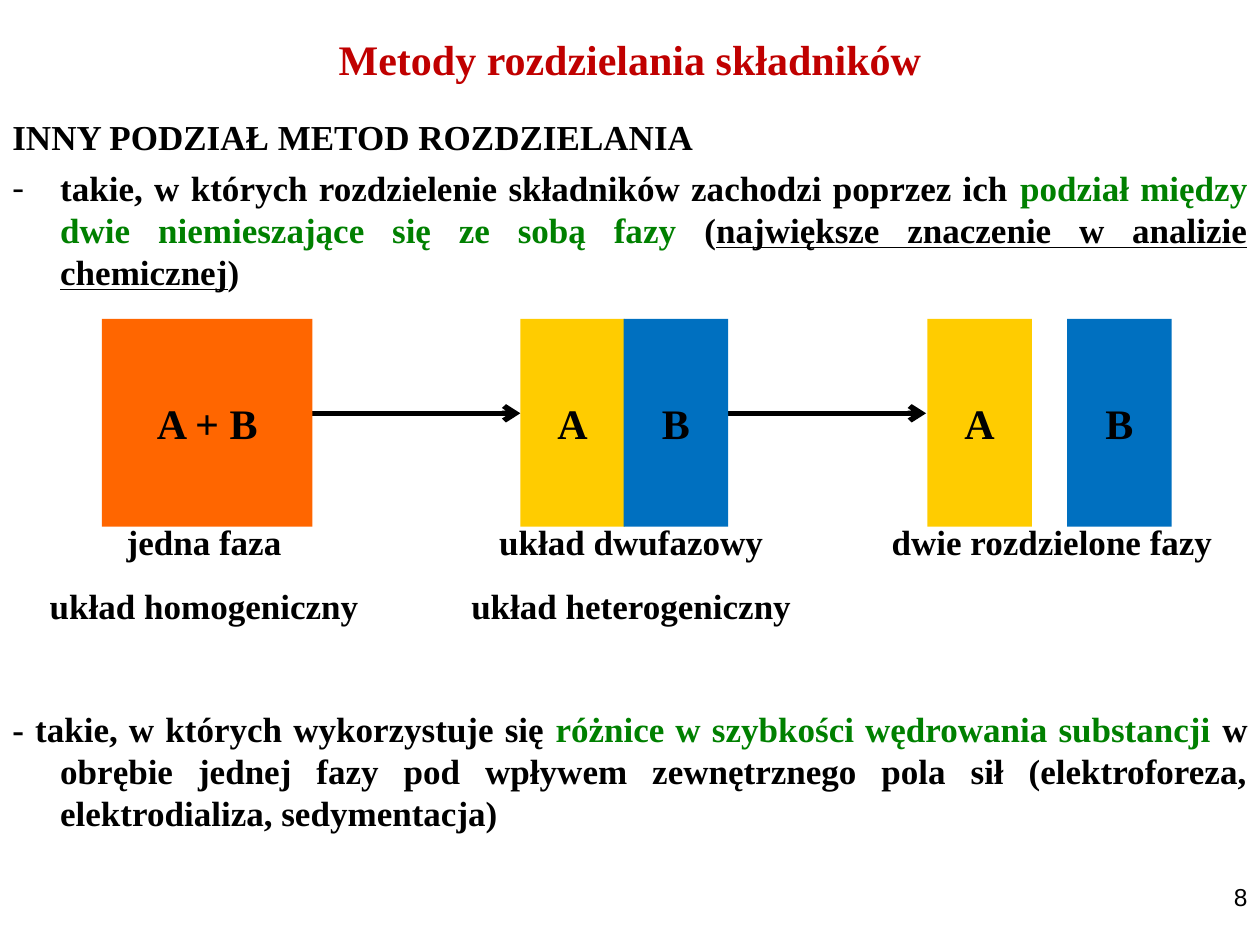
import pptx
import pptx.dml.color
import pptx.enum.shapes
import pptx.enum.text
import pptx.oxml.ns
import pptx.util
from lxml import etree

Inches, Pt = pptx.util.Inches, pptx.util.Pt
ALIGN = pptx.enum.text.PP_ALIGN
MIDDLE = pptx.enum.text.MSO_ANCHOR.MIDDLE
BLACK, GREEN, RED = "000000", "008000", "C00000"
ORANGE, YELLOW, BLUE = "FF6600", "FFCC00", "0070C0"


def color(code):
    return pptx.dml.color.RGBColor.from_string(code)


def sub(parent, tag, **attrs):
    """Append a DrawingML child element."""
    return etree.SubElement(parent, pptx.oxml.ns.qn("a:" + tag), attrs)


class Deck:
    """Holds the text style and the current slide."""

    style = {"name": "Times New Roman", "size": Pt(20), "bold": True}

    def __init__(self):
        self.file = pptx.Presentation()
        self.file.slide_width = Inches(10)
        self.file.slide_height = Inches(7.5)
        self.slide = self.file.slides.add_slide(self.file.slide_layouts[6])

    def put(self, par, runs, align, **style):
        """Fill a paragraph with (text, colour, underline) runs."""
        par.alignment = align
        for text, code, under in runs:
            run = par.add_run()
            run.text = text
            for key, value in {**self.style, "underline": under, **style}.items():
                setattr(run.font, key, value)
            run.font.color.rgb = color(code)

    def text(self, area, lines, align, code=BLACK, gap=0, anchor=None, **style):
        """Add a text box with one plain paragraph for each line."""
        frame = self.frame(area, anchor)
        for i, line in enumerate(lines):
            par = frame.add_paragraph() if i else frame.paragraphs[0]
            if i:
                par.space_before = Pt(gap)
            self.put(par, [(line, code, None)], align, **style)

    def frame(self, area, anchor=None):
        frame = self.slide.shapes.add_textbox(*map(Inches, area)).text_frame
        frame.word_wrap = True
        frame.vertical_anchor = anchor
        return frame

    def body(self, area, items):
        """Add hanging, justified paragraphs of (space before, bullet, runs)."""
        frame = self.frame(area)
        for i, (space, bullet, runs) in enumerate(items):
            par = frame.add_paragraph() if i else frame.paragraphs[0]
            props = par._p.get_or_add_pPr()
            props.set("marL", str(Inches(0.38)))
            props.set("indent", str(-Inches(0.38)))
            if bullet:
                sub(sub(props, "buClr"), "srgbClr", val=BLACK)
                sub(props, "buFont", typeface=self.style["name"])
                sub(props, "buChar", char=bullet)
            par.line_spacing = Pt(24)
            if space:
                par.space_before = Pt(space)
            self.put(par, runs, ALIGN.JUSTIFY)

    def block(self, left, width, label, fill):
        shape = self.slide.shapes.add_shape(
            pptx.enum.shapes.MSO_SHAPE.RECTANGLE,
            *map(Inches, (left, 2.53, width, 1.65)))
        shape.shadow.inherit = False
        shape.fill.solid()
        shape.fill.fore_color.rgb = color(fill)
        shape.line.fill.background()
        frame = shape.text_frame
        frame.vertical_anchor = MIDDLE
        self.put(frame.paragraphs[0], [(label, BLACK, None)],
                 ALIGN.CENTER, size=Pt(24))

    def arrow(self, start, end, y):
        line = self.slide.shapes.add_connector(
            pptx.enum.shapes.MSO_CONNECTOR.STRAIGHT,
            *map(Inches, (start, y, end, y)))
        line.line.color.rgb = color(BLACK)
        line.line.width = Pt(3)
        props = line._element.spPr
        sub(props.find(pptx.oxml.ns.qn("a:ln")), "tailEnd", type="arrow")
        sub(props, "effectLst")


def main():
    deck = Deck()
    deck.text((0.75, 0.1, 8.5, 0.74), ["Metody rozdzielania składników"],
              ALIGN.CENTER, RED, anchor=MIDDLE, size=Pt(24))
    deck.body((0, 0.87, 10, 6.21), [
        (0, None, [("INNY PODZIAŁ METOD ROZDZIELANIA", BLACK, None)]),
        (5, "-", [
            ("takie, w których rozdzielenie składników zachodzi poprzez ich ",
             BLACK, None),
            ("podział między dwie niemieszające się ze sobą fazy", GREEN, None),
            (" (", BLACK, None),
            ("największe znaczenie w analizie chemicznej", BLACK, True),
            (")", BLACK, None)]),
        # The wide space leaves room for the diagram
        (237, None, [
            ("- takie, w których wykorzystuje się ", BLACK, None),
            ("różnice w szybkości wędrowania substancji ", GREEN, None),
            ("w obrębie jednej fazy pod wpływem zewnętrznego pola sił "
             "(elektroforeza, elektrodializa, sedymentacja)", BLACK, None)]),
    ])

    for start, end in ((2.22, 4.13), (5.44, 7.35)):
        deck.arrow(start, end, 3.28)
    for left, width, label, fill in (
            (0.81, 1.67, "A + B", ORANGE),
            (4.13, 0.83, "A", YELLOW), (4.95, 0.83, "B", BLUE),
            (7.36, 0.83, "A", YELLOW), (8.47, 0.83, "B", BLUE)):
        deck.block(left, width, label, fill)

    for mid, lines in (
            (1.62, ["jedna faza", "układ homogeniczny"]),
            (5.01, ["układ dwufazowy", "układ heterogeniczny"]),
            (8.35, ["dwie rozdzielone fazy"])):
        deck.text((mid - 1.5, 4.08, 3, 0.94), lines, ALIGN.CENTER, gap=12.5)

    deck.text((7.67, 6.95, 2.33, 0.52), ["8"], ALIGN.RIGHT,
              name="Arial", size=Pt(14), bold=False)
    deck.file.save("out.pptx")


if __name__ == "__main__":
    main()
